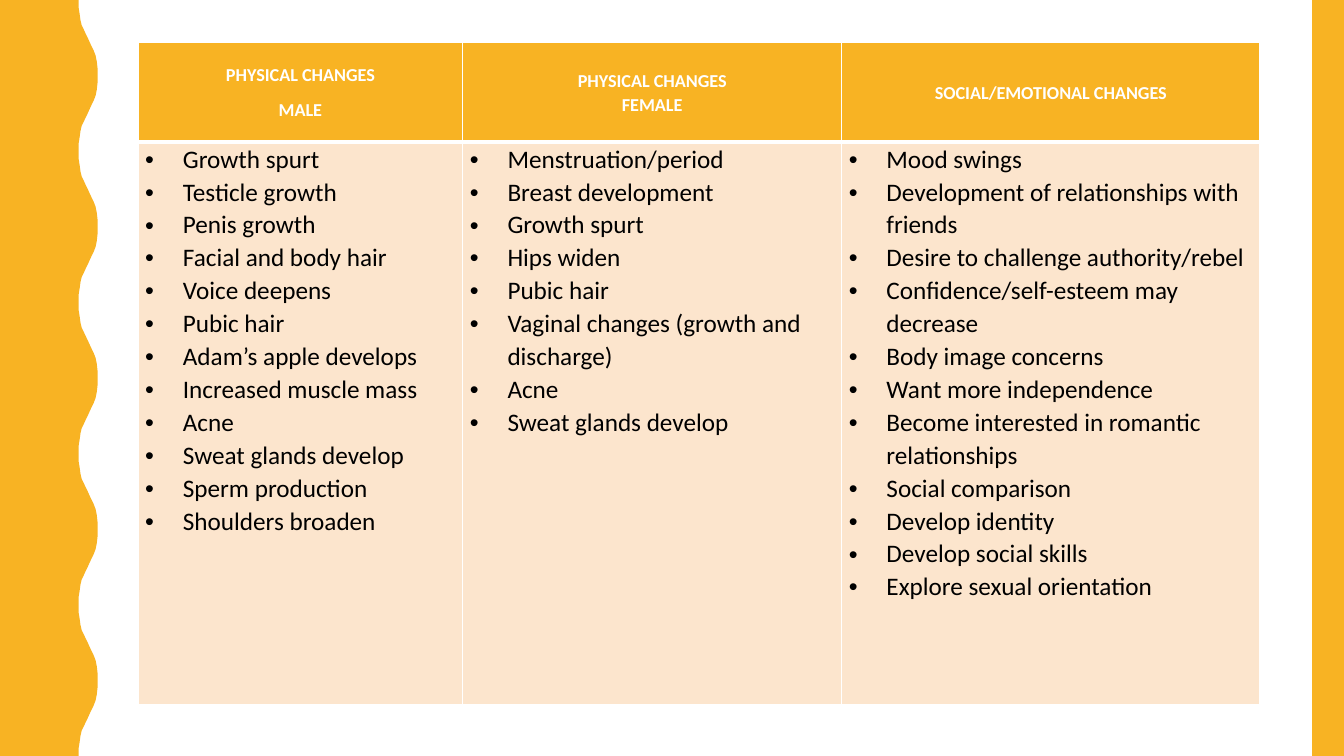
from lxml.etree import SubElement
from pptx import Presentation
from pptx.dml.color import RGBColor
from pptx.enum.shapes import MSO_SHAPE
from pptx.enum.text import MSO_ANCHOR, PP_ALIGN
from pptx.oxml.ns import qn
from pptx.util import Cm, Pt

GOLD = RGBColor(0xF8, 0xB3, 0x23)
CREAM = RGBColor(0xFC, 0xE5, 0xCD)
WHITE = RGBColor(0xFF, 0xFF, 0xFF)
BLACK = RGBColor(0, 0, 0)

HEADS = [
    "PHYSICAL CHANGES\nMALE",
    "PHYSICAL CHANGES\vFEMALE",
    "SOCIAL/EMOTIONAL CHANGES",
]
LISTS = [
    ["Growth spurt", "Testicle growth", "Penis growth", "Facial and body hair",
     "Voice deepens", "Pubic hair", "Adam’s apple develops",
     "Increased muscle mass", "Acne", "Sweat glands develop",
     "Sperm production", "Shoulders broaden"],
    ["Menstruation/period", "Breast development", "Growth spurt", "Hips widen",
     "Pubic hair", "Vaginal changes (growth and discharge)", "Acne",
     "Sweat glands develop"],
    ["Mood swings", "Development of relationships with friends",
     "Desire to challenge authority/rebel", "Confidence/self-esteem may decrease",
     "Body image concerns", "Want more independence",
     "Become interested in romantic relationships", "Social comparison",
     "Develop identity", "Develop social skills", "Explore sexual orientation"],
]
CREST = [
    (1.98, 0), (1.98, 0.18), (2.01, 0.36), (2.03, 0.51), (2.06, 0.64),
    (2.11, 0.74), (2.16, 0.85), (2.21, 0.95), (2.26, 1.06), (2.31, 1.17),
    (2.36, 1.27), (2.41, 1.4), (2.44, 1.55), (2.46, 1.73), (2.46, 1.9),
]
PERIOD = 3.81


def paint(shape):
    shape.shadow.inherit = False
    shape.fill.solid()
    shape.fill.fore_color.rgb = GOLD
    shape.line.fill.background()


def style(cell, fill, size, color, bold, edges):
    cell.margin_left = cell.margin_right = Cm(0.18)
    cell.margin_top = cell.margin_bottom = 0
    props = cell._tc.get_or_add_tcPr()
    for side, width in zip("LRTB", edges):
        line = SubElement(props, qn(f"a:ln{side}"), w=str(Pt(width)))
        SubElement(SubElement(line, qn("a:solidFill")), qn("a:srgbClr"), val=str(WHITE))
    cell.fill.solid()
    cell.fill.fore_color.rgb = fill
    for para in cell.text_frame.paragraphs:
        para.line_spacing = 1.07
        for brk in para._p.findall(qn("a:br")):
            SubElement(brk, qn("a:rPr"), sz=str(size * 100))
        for run in para.runs:
            run.font.name = "Calibri"
            run.font.size = Pt(size)
            run.font.bold = bold
            run.font.color.rgb = color


deck = Presentation()
deck.slide_width, deck.slide_height = Cm(33.87), Cm(19.05)
slide = deck.slides.add_slide(deck.slide_layouts[6])
shapes = slide.shapes

wave = CREST + [(x, PERIOD - y) for x, y in CREST[-2::-1]]
points = [(Cm(x), Cm(y + turn * PERIOD)) for turn in range(5) for x, y in wave]
pen = shapes.build_freeform(0, 0)
pen.add_line_segments(points + [(0, Cm(19.05))], close=True)
paint(pen.convert_to_shape())
paint(shapes.add_shape(MSO_SHAPE.RECTANGLE, Cm(33.07), 0, Cm(0.8), Cm(19.05)))

table = shapes.add_table(2, 3, Cm(3.48), Cm(1.07), Cm(28.27), Cm(16.68)).table
table.first_row = table.horz_banding = False
table.rows[0].height, table.rows[1].height = Cm(2.51), Cm(14.17)

for col, (width, title, items) in enumerate(zip((8.18, 9.55, 10.54), HEADS, LISTS)):
    table.columns[col].width = Cm(width)

    head = table.cell(0, col)
    head.text_frame.text = title
    head.vertical_anchor = MSO_ANCHOR.MIDDLE
    style(head, GOLD, 13, WHITE, True, (1, 1, 1, 3))
    for para in head.text_frame.paragraphs:
        para.alignment = PP_ALIGN.CENTER
        para.space_after = Pt(8)

    body = table.cell(1, col)
    body.text_frame.text = "\n".join(items)
    for para in body.text_frame.paragraphs:
        props = para._p.get_or_add_pPr()
        props.set("marL", str(Cm(0.95)))
        props.set("indent", str(-Cm(0.95)))
        SubElement(props, qn("a:buFont"), typeface="Arial")
        SubElement(props, qn("a:buChar"), char="•")
    style(body, CREAM, 18, BLACK, False, (1, 1, 3, 1))
    para.space_after = Pt(8)

deck.save("out.pptx")
